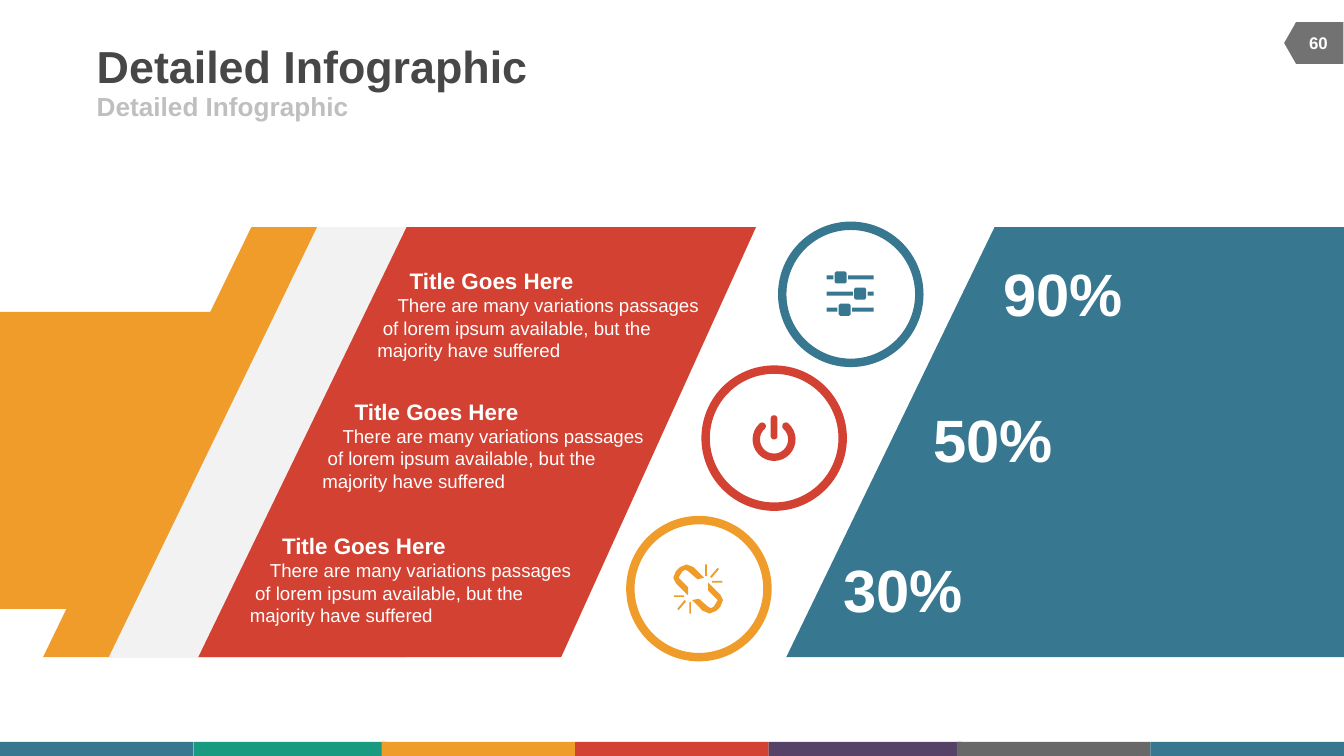
from math import cos, radians, sin

from pptx import Presentation
from pptx.dml.color import RGBColor
from pptx.enum.shapes import MSO_SHAPE as Preset
from pptx.enum.text import MSO_ANCHOR as Anchor, MSO_AUTO_SIZE as Fit, PP_ALIGN as Align
from pptx.util import Inches, Pt

# The grid has 100 columns across the slide, with square cells
COLUMNS, ROWS = 100, 56.25
CELL = Inches(10) // COLUMNS

COLORS = {
    "blue": "377790", "green": "189A80", "orange": "F09C2A", "red": "D24132",
    "purple": "564266", "gray": "686868", "tag": "727272", "pale": "F2F2F2",
    "white": "FFFFFF", "title": "474747", "subtitle": "BFBFBF",
}
FONT = "Arial"
BAND_TOP, BAND_BOTTOM = 16.9, 48.9

ITEM_TITLE = "Title Goes Here"
ITEM_LINES = [
    ("There are many variations passages", 1.9),
    ("of lorem ipsum available, but the", 0.8),
    ("majority have suffered", 0.4),
]


def grid(*cells):
    return [round(cell * CELL) for cell in cells]


def color(name):
    return RGBColor.from_string(COLORS[name])


def paint(shape, fill):
    shape.shadow.inherit = False
    shape.fill.solid()
    shape.fill.fore_color.rgb = color(fill)
    shape.line.fill.background()
    return shape


def add_preset(page, kind, place, fill):
    return paint(page.shapes.add_shape(kind, *grid(*place)), fill)


def add_outline(page, contours, fill):
    """Draw closed contours, given in grid cells, as one shape."""
    first, *others = [[grid(*point) for point in contour] for contour in contours]
    builder = page.shapes.build_freeform(*first[0], scale=1.0)
    builder.add_line_segments(first[1:], close=True)
    for contour in others:
        builder.move_to(*contour[0])
        builder.add_line_segments(contour[1:], close=True)
    return paint(builder.convert_to_shape(), fill)


def add_box(page, place, wrap=False, margin=0, anchor=Anchor.MIDDLE):
    box = page.shapes.add_textbox(*grid(*place))
    frame = box.text_frame
    frame.word_wrap = wrap
    frame.vertical_anchor = anchor
    if margin is not None:
        frame.margin_left = frame.margin_right = margin
        frame.margin_top = frame.margin_bottom = margin
    return frame


def write(para, text, size, shade="white", bold=True, align=Align.LEFT, indent=0):
    para.text = text
    para.alignment = align
    para.font.name, para.font.size, para.font.bold = FONT, Pt(size), bold
    para.font.color.rgb = color(shade)
    if indent:
        props = para._p.get_or_add_pPr()
        props.set("marL", str(grid(indent)[0]))
        props.set("indent", "0")


def add_item(page, left, top):
    frame = add_box(page, (left, top, 27.1, 8.1), True, None, Anchor.TOP)
    frame.auto_size = Fit.SHAPE_TO_FIT_TEXT
    write(frame.paragraphs[0], ITEM_TITLE, 12, indent=2.8)
    for line, indent in ITEM_LINES:
        write(frame.add_paragraph(), line, 10, bold=False, indent=indent)


def add_percent(page, text, left, top):
    frame = add_box(page, (left, top, 9, 5.4))
    write(frame.paragraphs[0], text, 32, align=Align.CENTER)


def add_ring(page, left, top, line):
    ring = add_preset(page, Preset.OVAL, (left, top, 10.2, 10.2), "white")
    ring.line.color.rgb = color(line)
    ring.line.width = Pt(4.5)


def add_band(page, shift, fill):
    add_outline(page, [[(18.7 + shift, BAND_TOP), (44.7 + shift, BAND_TOP),
                        (30.2 + shift, BAND_BOTTOM), (3.2 + shift, BAND_BOTTOM)]], fill)


def bar(left, top, right, bottom, cut=0):
    """Rectangle contour whose corners may be cut."""
    if not cut:
        return [(left, top), (right, top), (right, bottom), (left, bottom)]
    return [(left + cut, top), (right - cut, top), (right, top + cut),
            (right, bottom - cut), (right - cut, bottom), (left + cut, bottom),
            (left, bottom - cut), (left, top + cut)]


def arc(center, radius, start, end, steps=24):
    angles = [radians(start + (end - start) * step / steps) for step in range(steps + 1)]
    return [(center[0] + radius * cos(angle), center[1] + radius * sin(angle))
            for angle in angles]


def sliders_icon():
    contours = []
    for middle, knob in ((20.65, 62.55), (21.85, 64), (23.05, 62.85)):
        contours += [bar(61.5, middle - 0.15, knob - 0.55, middle + 0.15),
                     bar(knob - 0.45, middle - 0.45, knob + 0.45, middle + 0.45, 0.12),
                     bar(knob + 0.55, middle - 0.15, 65, middle + 0.15)]
    return contours


def power_icon():
    center, outer, inner, start, end = (57.6, 32.7), 1.6, 1.05, -48, 228
    middle, cap = (outer + inner) / 2, (outer - inner) / 2
    tips = [arc(center, middle, angle, angle, 1)[0] for angle in (start, end)]
    ring = (arc(center, outer, start, end) + arc(tips[1], cap, end, end + 180)
            + arc(center, inner, end, start) + arc(tips[0], cap, start + 180, start + 360))
    stem = arc((57.6, 31.15), 0.25, 180, 360) + arc((57.6, 32.45), 0.25, 0, 180)
    return [ring, stem]


def broken_link_icon():
    half = [(51.9, 43.1), (51.2, 42.5), (51, 42.4), (50.8, 42.5), (50.6, 42.8),
            (50.5, 43), (50.6, 43.1), (51.2, 43.7), (51.2, 44.3), (51, 44.1),
            (50.3, 43.4), (50.1, 43), (50.3, 42.5), (50.6, 42.2), (51.1, 42),
            (51.6, 42.2), (52.3, 42.9), (52.4, 43)]
    rays = [bar(50.15, 44.3, 50.9, 44.42),
            [(50.95, 44.65), (51.05, 44.75), (50.5, 45.4), (50.4, 45.3)],
            bar(51.3, 44.8, 51.42, 45.65)]
    contours = [half] + rays
    # The other half is the same turned around the center
    turned = [[(103.9 - x, 87.65 - y) for x, y in contour] for contour in contours]
    return contours + turned


def add_frame(page):
    # Color strip along the foot
    strip = zip((0, 14.4, 28.4, 42.8, 57.2, 71.2, 85.6),
                ("blue", "green", "orange", "red", "purple", "gray", "blue"))
    for left, fill in strip:
        add_preset(page, Preset.RECTANGLE, (left, ROWS - 1.05, 14.4, 1.05), fill)

    # Page number tag
    tag = add_preset(page, Preset.FLOWCHART_OFFPAGE_CONNECTOR, (96.2, 1, 3.1, 4.4), "tag")
    tag.rotation = 90
    number = add_box(page, (96, 1.7, 4.2, 3), True, None)
    write(number.paragraphs[0], "60", 9, align=Align.CENTER)

    # Headings
    for place, size, shade in (((7.2, 2.9, 61.7, 3.9), 24, "title"),
                               ((7.2, 6.8, 45, 2.2), 14, "subtitle")):
        write(add_box(page, place).paragraphs[0], "Detailed Infographic", size, shade)


def main():
    deck = Presentation()
    deck.slide_width, deck.slide_height = grid(COLUMNS, ROWS)
    page = deck.slides.add_slide(deck.slide_layouts[6])
    add_frame(page)

    # Rings with icons
    for left, top, shade, icon in ((46.9, 38.7, "orange", broken_link_icon),
                                   (58.2, 16.8, "blue", sliders_icon),
                                   (52.5, 27.5, "red", power_icon)):
        add_ring(page, left, top, shade)
        add_outline(page, icon(), shade)

    # Slanted bands
    add_outline(page, [[(0, 23.2), (23.9, 23.2), (13.1, 45.3), (0, 45.3)]], "orange")
    for shift, fill in ((0, "orange"), (4.9, "pale"), (11.55, "red")):
        add_band(page, shift, fill)
    add_outline(page, [[(74, BAND_TOP), (COLUMNS, BAND_TOP),
                        (COLUMNS, BAND_BOTTOM), (58.5, BAND_BOTTOM)]], "blue")

    # Descriptions and percentages
    for left, top in ((26.7, 19.4), (22.6, 29.1), (17.2, 39.1)):
        add_item(page, left, top)
    for text, left, top in (("90%", 74.6, 19.1), ("50%", 69.4, 29.9), ("30%", 62.7, 41.1)):
        add_percent(page, text, left, top)

    deck.save("out.pptx")


if __name__ == "__main__":
    main()
